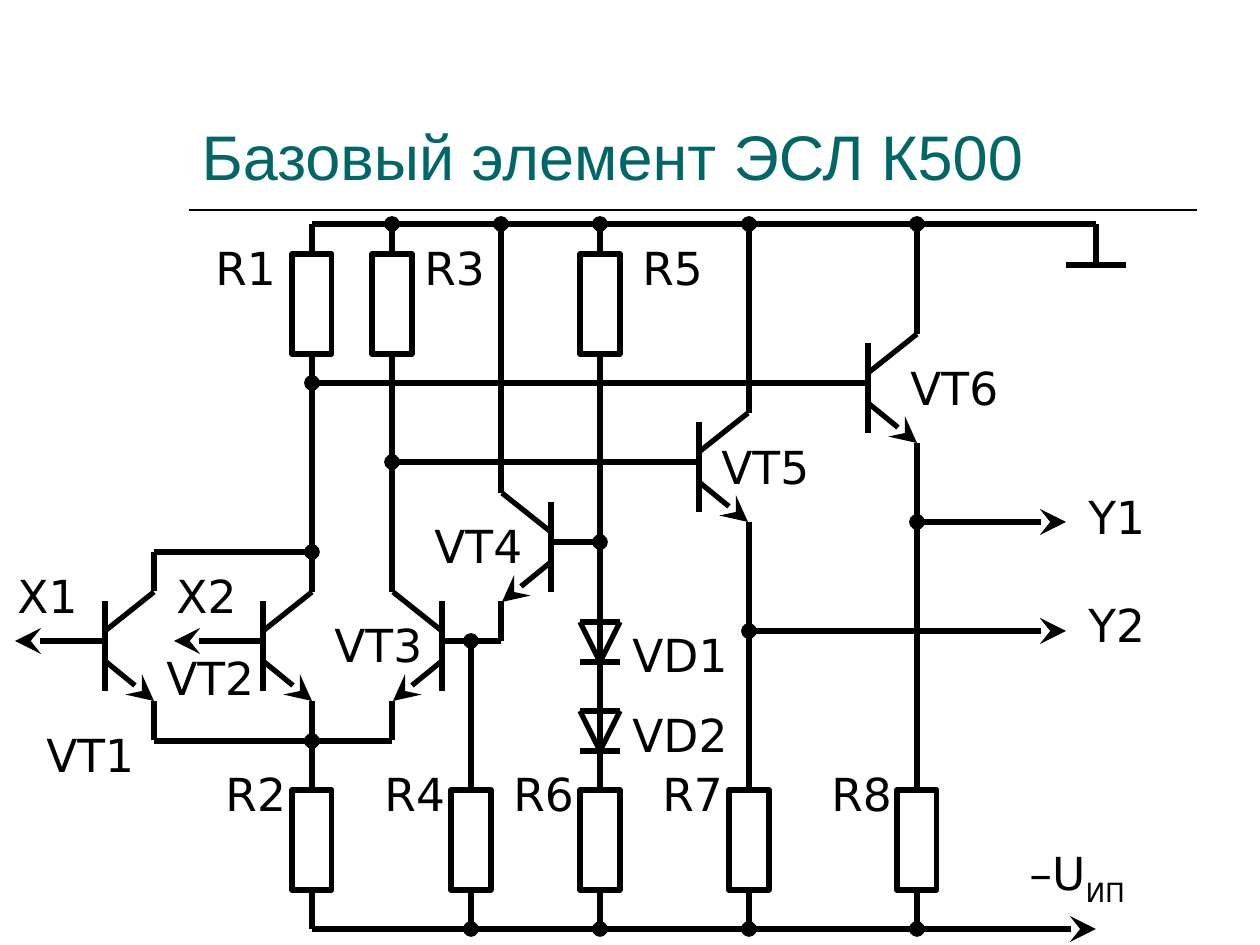
import pptx
import pptx.dml.color
import pptx.enum.shapes
import pptx.enum.text
import pptx.oxml
import pptx.oxml.ns
import pptx.util

PX = 914400 / 126
BLACK = pptx.dml.color.RGBColor(0x00, 0x00, 0x00)
WHITE = pptx.dml.color.RGBColor(0xFF, 0xFF, 0xFF)
TEAL = pptx.dml.color.RGBColor(0x00, 0x66, 0x66)

TITLE = "Базовый элемент ЭСЛ К500"
TOP, BOTTOM = 224, 929
UPPER_RESISTOR, LOWER_RESISTOR = 254, 790
RESISTOR_WIDTH, RESISTOR_HEIGHT = 40, 100
UPPER_END = UPPER_RESISTOR + RESISTOR_HEIGHT
LOWER_END = LOWER_RESISTOR + RESISTOR_HEIGHT

UPPER_COLUMNS = [312, 392, 600]
LOWER_COLUMNS = [312, 471, 600, 749, 917]

# base x, base y, side of the collector and emitter
TRANSISTORS = [
    (105, 641, 1), (263, 641, 1), (442, 641, -1),
    (551, 542, -1), (699, 462, 1), (868, 383, 1),
]
DIODES = [(600, 622), (600, 711)]

PLAIN_WIRES = [
    (1096, TOP, 312, TOP), (1096, 265, 1096, TOP), (1126, 265, 1066, 265),
    (312, UPPER_RESISTOR, 312, TOP), (312, 552, 312, UPPER_END),
    (392, 592, 392, UPPER_END), (600, LOWER_RESISTOR, 600, UPPER_END),
    (154, 591, 154, 552), (312, 552, 154, 552),
    (154, 740, 154, 701), (312, 740, 312, 701), (392, 740, 392, 701),
    (392, 741, 154, 741), (501, 641, 442, 641), (501, 641, 501, 601),
    (749, LOWER_RESISTOR, 749, 522), (917, LOWER_RESISTOR, 917, 443),
    (312, BOTTOM, 312, LOWER_END),
]
JUNCTION_WIRES = [
    (392, UPPER_RESISTOR, 392, TOP), (501, 493, 501, TOP),
    (600, UPPER_RESISTOR, 600, TOP), (749, 413, 749, TOP), (917, 334, 917, TOP),
    (868, 383, 312, 383), (699, 462, 392, 462), (551, 542, 600, 542),
    (312, 592, 312, 552), (312, LOWER_RESISTOR, 312, 741),
    (471, LOWER_RESISTOR, 471, 641),
] + [(x, LOWER_END, x, BOTTOM) for x in LOWER_COLUMNS[1:]]
INPUT_WIRES = [(15, 641, 105, 641), (174, 641, 263, 641)]
SUPPLY_WIRE = (1096, BOTTOM, 312, BOTTOM)
OUTPUT_WIRES = [(1066, 522, 917, 522), (1066, 631, 749, 631)]

LABELS = [
    ("R1", 203, 234, 89), ("R3", 412, 234, 89), ("R5", 630, 234, 89),
    ("R2", 213, 760, 159), ("R4", 372, 760, 159), ("R6", 501, 760, 89),
    ("R7", 650, 760, 89), ("R8", 819, 760, 89),
    ("VT1", 34, 721, 129), ("VT2", 154, 644, 129), ("VT3", 322, 611, 129),
    ("VT4", 422, 512, 129), ("VT5", 709, 433, 129), ("VT6", 898, 354, 129),
    ("VD1", 620, 621, 159), ("VD2", 620, 701, 159),
    ("X1", 5, 562, 100), ("X2", 164, 562, 100),
    ("Y1", 1076, 483, 100), ("Y2", 1076, 591, 100),
    ("–U", 1017, 839, 169),
]
SUBSCRIPTS = {"–U": "ИП"}


def emu(*lengths):
    return [round(length * PX) for length in lengths]


def add_line(shapes, ends, head=None, tail=None, width=3):
    connector = shapes.add_connector(
        pptx.enum.shapes.MSO_CONNECTOR.STRAIGHT, *emu(*ends))
    connector.line.color.rgb = BLACK
    connector.line.width = pptx.util.Pt(width)
    outline = connector.line._get_or_add_ln()
    for tag, kind in (("a:headEnd", head), ("a:tailEnd", tail)):
        if kind:
            size = "lg" if kind == "stealth" else "med"
            end = pptx.oxml.parse_xml(
                f'<{tag} {pptx.oxml.ns.nsdecls("a")} type="{kind}" w="{size}" len="{size}"/>')
            outline.append(end)
    properties = connector._element.spPr
    properties.append(pptx.oxml.parse_xml(
        f'<a:effectLst {pptx.oxml.ns.nsdecls("a")}/>'))


def add_transistor(shapes, x, y, side):
    outer = x + 49 * side
    add_line(shapes, (x, y + 50, x, y - 40))
    add_line(shapes, (x, y - 10, outer, y - 49))
    add_line(shapes, (outer, y + 60, x, y + 20), head="stealth")


def add_diode(shapes, x, y):
    group = shapes.add_group_shape().shapes
    left, right, tip = x - 20, x + 20, y + 40
    for ends in ((right, tip, left, tip), (right, y, left, y),
                 (x, tip, left, y), (x, tip, right, y)):
        add_line(group, ends)


def add_resistor(shapes, x, y):
    resistor = shapes.add_shape(
        pptx.enum.shapes.MSO_SHAPE.RECTANGLE,
        *emu(x - RESISTOR_WIDTH / 2, y, RESISTOR_WIDTH, RESISTOR_HEIGHT))
    resistor.shadow.inherit = False
    resistor.fill.solid()
    resistor.fill.fore_color.rgb = WHITE
    resistor.line.color.rgb = BLACK
    resistor.line.width = pptx.util.Pt(3)


def add_run(paragraph, text, size, name, color):
    run = paragraph.add_run()
    run.text = text
    run.font.size = pptx.util.Pt(size)
    run.font.name = name
    run.font.color.rgb = color
    return run


def add_label(shapes, text, x, y, width):
    box = shapes.add_textbox(*emu(x, y, width, 68))
    box.text_frame.word_wrap = True
    paragraph = box.text_frame.paragraphs[0]
    add_run(paragraph, text, 26, "DejaVu Sans", BLACK)
    if text in SUBSCRIPTS:
        subscript = add_run(paragraph, SUBSCRIPTS[text], 26, "DejaVu Sans", BLACK)
        subscript.font._element.set("baseline", "-25000")


def add_title(slide):
    title = slide.shapes.title
    title.left, title.top, title.width, title.height = emu(189, 42, 1008, 157)
    title.text_frame.vertical_anchor = pptx.enum.text.MSO_ANCHOR.BOTTOM
    paragraph = title.text_frame.paragraphs[0]
    paragraph.alignment = pptx.enum.text.PP_ALIGN.LEFT
    add_run(paragraph, TITLE, 36, "Arial", TEAL)
    add_line(slide.shapes, (189, 210, 1197, 210), width=1)


def main():
    presentation = pptx.Presentation()
    presentation.slide_width, presentation.slide_height = emu(1260, 945)
    slide = presentation.slides.add_slide(presentation.slide_layouts[5])
    shapes = slide.shapes
    add_title(slide)
    for wire in PLAIN_WIRES:
        add_line(shapes, wire)
    for wire in JUNCTION_WIRES:
        add_line(shapes, wire, tail="oval")
    for wire in INPUT_WIRES + [SUPPLY_WIRE]:
        add_line(shapes, wire, head="stealth")
    for wire in OUTPUT_WIRES:
        add_line(shapes, wire, head="stealth", tail="oval")
    for transistor in TRANSISTORS:
        add_transistor(shapes, *transistor)
    for diode in DIODES:
        add_diode(shapes, *diode)
    for x in UPPER_COLUMNS:
        add_resistor(shapes, x, UPPER_RESISTOR)
    for x in LOWER_COLUMNS:
        add_resistor(shapes, x, LOWER_RESISTOR)
    for label in LABELS:
        add_label(shapes, *label)
    presentation.save("out.pptx")


if __name__ == "__main__":
    main()
